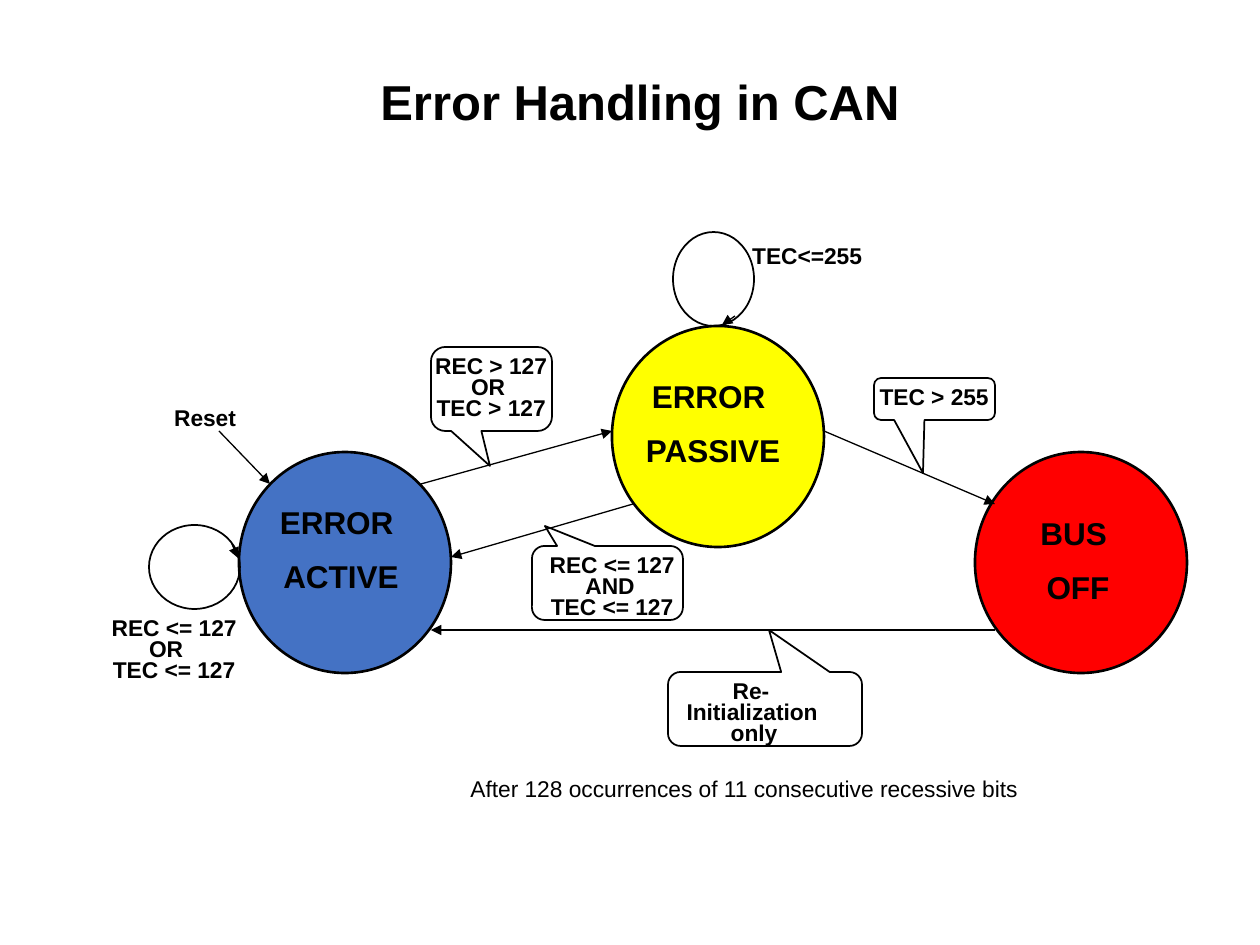
from dataclasses import dataclass

from lxml import etree
from pptx import Presentation
from pptx import util as u
from pptx.dml.color import RGBColor
from pptx.enum import shapes, text
from pptx.oxml.ns import qn


@dataclass(frozen=True)
class Theme:
    font: str = "Arial"
    ink: str = "000000"
    active: str = "4472C4"
    passive: str = "FFFF00"
    off: str = "FF0000"
    title: int = 28
    state: int = 18
    label: int = 13
    state_line: float = 1.5
    outline: float = 1
    arrow: float = 0.75


THEME = Theme()
LABEL_WIDTH = 180
LABEL_HEIGHT = 42
LINE_PITCH = 21
STATE_SIZE = (212, 221)


def px(length):
    return u.Emu(round(length * 914400 / 126))


def write(slide, lines, left, top, width, height, *, size=THEME.label,
          bold=True, align=text.PP_ALIGN.CENTER,
          anchor=text.MSO_ANCHOR.MIDDLE, wrap=False):
    frame = slide.shapes.add_textbox(*map(px, (left, top, width, height))).text_frame
    frame.word_wrap = wrap
    frame.vertical_anchor = anchor
    for index, line in enumerate(lines):
        paragraph = frame.paragraphs[0] if index == 0 else frame.add_paragraph()
        paragraph.alignment = align
        paragraph.space_before = u.Pt(size / 2 if index else 0)
        run = paragraph.add_run()
        run.text = line
        run.font.name = THEME.font
        run.font.size = u.Pt(size)
        run.font.bold = bold
        run.font.color.rgb = RGBColor.from_string(THEME.ink)


def label(slide, line, centre, top, width=LABEL_WIDTH, **style):
    write(slide, [line], centre - width / 2, top, width, LABEL_HEIGHT, **style)


def condition(slide, top, *lines):
    for row, (line, centre) in enumerate(lines):
        label(slide, line, centre, top + row * LINE_PITCH)


def outlined(slide, kind, left, top, width, height, fill=None, line=THEME.outline):
    outline = slide.shapes.add_shape(kind, *map(px, (left, top, width, height)))
    outline.shadow.inherit = False
    if fill:
        outline.fill.solid()
        outline.fill.fore_color.rgb = RGBColor.from_string(fill)
    else:
        outline.fill.background()
    outline.line.color.rgb = RGBColor.from_string(THEME.ink)
    outline.line.width = u.Pt(line)
    return outline


def state(slide, left, top, fill):
    outlined(slide, shapes.MSO_SHAPE.OVAL, left, top, *STATE_SIZE, fill, THEME.state_line)


def callout(slide, left, top, width, height, tip_x, tip_y):
    bubble = outlined(slide, shapes.MSO_SHAPE.ROUNDED_RECTANGULAR_CALLOUT,
                      left, top, width, height)
    bubble.adjustments[0] = (tip_x - left) / width - 0.5
    bubble.adjustments[1] = (tip_y - top) / height - 0.5
    bubble.adjustments[2] = 0.17


def arrow(slide, *ends):
    transition = slide.shapes.add_connector(shapes.MSO_CONNECTOR.STRAIGHT, *map(px, ends))
    transition.line.color.rgb = RGBColor.from_string(THEME.ink)
    transition.line.width = u.Pt(THEME.arrow)
    etree.SubElement(transition.line._get_or_add_ln(), qn("a:tailEnd"), type="triangle")
    etree.SubElement(transition._element.spPr, qn("a:effectLst"))


def main():
    deck = Presentation()
    deck.slide_width, deck.slide_height = px(1260), px(945)
    slide = deck.slides.add_slide(deck.slide_layouts[6])

    write(slide, ["Error Handling in CAN"], 115, 65, 1050, 73,
          size=THEME.title, anchor=text.MSO_ANCHOR.TOP, wrap=True)

    for left, top, fill in (
        (239, 452, THEME.active),
        (612, 326, THEME.passive),
        (975, 452, THEME.off),
    ):
        state(slide, left, top, fill)

    for loop in ((673, 232, 81, 94), (149, 525, 91, 84)):
        outlined(slide, shapes.MSO_SHAPE.OVAL, *loop)

    for ends in (
        (421, 484, 612, 431),
        (633, 504, 451, 557),
        (824, 431, 995, 504),
        (995, 630, 431, 630),
        (219, 431, 270, 484),
        (735, 316, 722, 325),
        (232, 544, 238, 558),
    ):
        arrow(slide, *ends)

    for bubble in (
        (431, 347, 121, 84, 490, 466),
        (532, 546, 151, 74, 545, 526),
        (668, 672, 194, 74, 769, 630),
        (874, 378, 121, 42, 923, 473),
    ):
        callout(slide, *bubble)

    condition(slide, 344, ("REC > 127", 491), ("OR", 488), ("TEC > 127", 491))
    condition(slide, 543, ("REC <= 127", 612), ("AND", 610), ("TEC <= 127", 612))
    condition(slide, 669, ("Re-", 751), ("Initialization", 752), ("only", 754))
    condition(slide, 606, ("REC <= 127", 174), ("OR", 166), ("TEC <= 127", 174))
    label(slide, "TEC<=255", 807, 234)
    label(slide, "TEC > 255", 934, 375)
    label(slide, "Reset", 205, 396)

    for lines, centre, top in (
        (("ERROR ", "ACTIVE"), 341, 494),
        (("ERROR ", "PASSIVE"), 713, 368),
        (("BUS ", "OFF"), 1078, 505),
    ):
        write(slide, lines, centre - 85, top, 170, 110, size=THEME.state)

    label(slide, "After 128 occurrences of 11 consecutive recessive bits", 764, 767,
          612, bold=False, align=text.PP_ALIGN.LEFT)

    deck.save("out.pptx")


if __name__ == "__main__":
    main()
